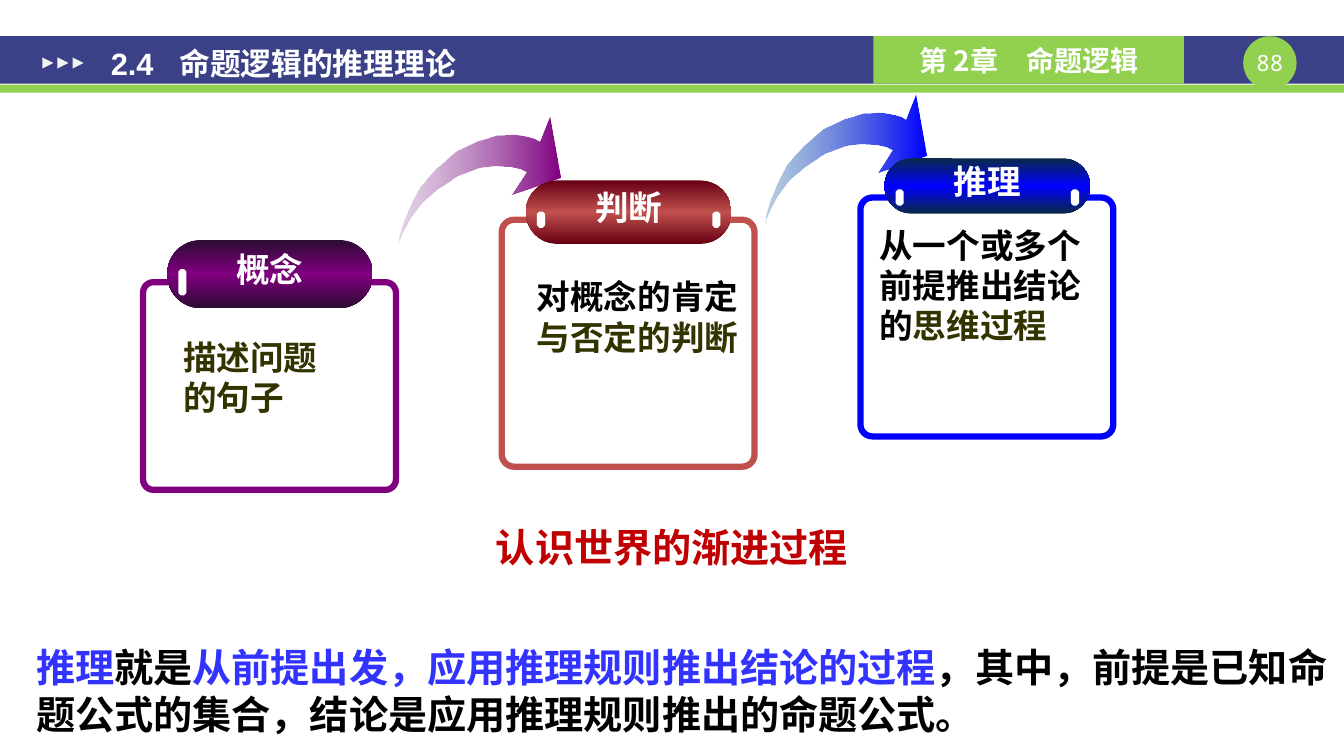
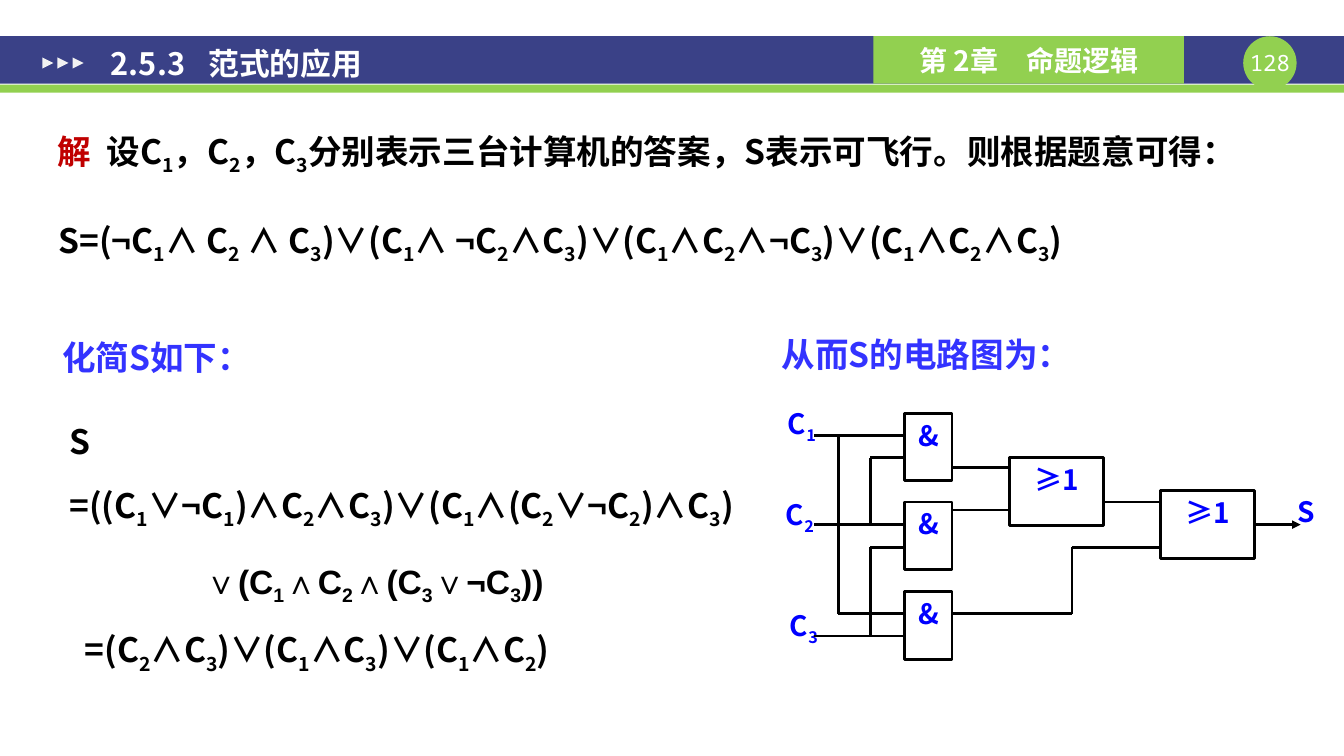
"""Build two lecture slides on propositional logic."""
import pptx
import pptx.dml.color
import pptx.enum.shapes
import pptx.enum.text
import pptx.oxml.ns
import pptx.util
from lxml import etree

Inches, Pt = pptx.util.Inches, pptx.util.Pt
SHAPE = pptx.enum.shapes.MSO_SHAPE
ALIGN = pptx.enum.text.PP_ALIGN
ANCHOR = pptx.enum.text.MSO_ANCHOR
qn = pptx.oxml.ns.qn

CJK, ARIAL, MONO = "Noto Sans CJK SC", "Arial", "Noto Sans Mono"
NAVY, GREEN, WHITE, PALE = "3A4187", "92D050", "FFFFFF", "F2F2F2"
BLACK, OLIVE, RED = "000000", "333300", "C00000"
VIOLET_BLUE, PURE_BLUE = "3333FF", "0000FF"
CHAPTER = "第 2章　命题逻辑"

CARDS = [
    dict(label="概念", colour="800080", dark="2C0B32", left=1.42,
         frame=(2.8, 2.06), cap=(2.38, 0.68), studs=(2.67, 0.26, 1),
         body=(1.72, 3.29, 1.79, 0.91), runs=[("描述问题的句子", OLIVE)]),
    dict(label="判断", colour="C0504D", dark="670013", left=4.98,
         frame=(2.18, 2.45), cap=(1.79, 0.63), studs=(2.1, 0.16, 2),
         body=(5.23, 2.69, 2.33, 0.91),
         runs=[("对概念的肯定", BLACK), ("与否定的判断", OLIVE)]),
    dict(label="推理", colour="0000FF", dark="092A47", left=8.54,
         frame=(1.96, 2.37), cap=(1.57, 0.55), studs=(1.88, 0.16, 2),
         body=(8.63, 2.18, 2.33, 1.31),
         runs=[("从一个或多个前提推出结论的", BLACK), ("思维过程", OLIVE)]),
]
ARROWS = [(3.96, 1.16, "AD7CB6", "800080"), (7.6, 0.94, "2869A3", "0000FF")]
ARROW_OUTLINE = [
    (0, 1.27), (0.01, 1.23), (0.05, 1.14), (0.12, 1.01), (0.23, 0.86),
    (0.39, 0.72), (0.59, 0.59), (0.8, 0.51), (0.97, 0.49), (1.11, 0.5),
    (1.2, 0.52), (1.26, 0.55), (1.11, 0.78), (1.6, 0.61), (1.49, 0),
    (1.39, 0.25), (1.34, 0.22), (1.25, 0.2), (1.13, 0.18), (0.97, 0.19),
    (0.79, 0.24), (0.58, 0.34), (0.38, 0.51), (0.22, 0.69), (0.12, 0.88),
    (0.05, 1.05), (0.01, 1.18),
]
SUMMARY = [
    ("推理", VIOLET_BLUE), ("就是", BLACK),
    ("从前提出发，应用推理规则推出结论的过程", VIOLET_BLUE),
    ("，其中，前提是已知命题公式的集合，结论是应用推理规则推出的命题公式。", BLACK),
]

SOLUTION = [("解\t", RED),
            ("设C_1，C_2，C_3分别表示三台计算机的答案，S表示可飞行。则根据题意可得：", BLACK)]
FORMULA = "S=(¬C_1∧ C_2 ∧ C_3)∨(C_1∧ ¬C_2∧C_3)∨(C_1∧C_2∧¬C_3)∨(C_1∧C_2∧C_3)"
DERIVATION = [
    ("S =((C_1∨¬C_1)∧C_2∧C_3)∨(C_1∧(C_2∨¬C_2)∧C_3)", CJK, 0, 0),
    ("∨(C_1∧C_2∧(C_3∨¬C_3))", ARIAL, 1.34, 5),
    ("=(C_2∧C_3)∨(C_1∧C_3)∨(C_1∧C_2)", CJK, 0.15, 0),
]
SIGNALS = [("C_1", 7.61, 3.98, 0.7), ("C_2", 7.59, 4.89, 0.7),
           ("C_3", 7.63, 5.99, 0.7), ("S", 12.73, 4.86, 0.47)]
GATES = [("&", 8.98, 4.1, 0.47), ("&", 8.98, 4.98, 0.47), ("&", 8.98, 5.87, 0.47),
         ("≥1", 10.02, 4.54, 0.93), ("≥1", 11.52, 4.87, 0.93)]
WIRES = [
    (8.08, 4.32, 8.98, 4.32), (8.64, 4.54, 8.98, 4.54),
    (8.08, 5.2, 8.98, 5.2), (8.64, 5.43, 8.98, 5.43),
    (8.32, 6.09, 8.98, 6.09), (8.08, 6.31, 8.98, 6.31),
    (8.32, 4.32, 8.32, 6.09), (8.64, 4.54, 8.64, 5.2), (8.64, 5.43, 8.64, 6.31),
    (9.45, 4.64, 10.02, 4.64), (9.45, 5.06, 10.02, 5.06),
    (9.45, 6.09, 10.64, 6.09), (10.64, 5.43, 10.64, 6.09),
    (10.64, 5.43, 11.52, 5.43), (10.95, 4.98, 11.52, 4.98),
]


def rgb(colour):
    """Turn a hex string into a colour."""
    return pptx.dml.color.RGBColor.from_string(colour)


def add_span(para, text, colour, size, font, bold, subscript=False):
    """Add one formatted run."""
    span = para.add_run()
    span.text = text
    span.font.size, span.font.bold, span.font.name = Pt(size), bold, font
    span.font.color.rgb = rgb(colour)
    properties = span.font._element
    etree.SubElement(properties, qn("a:ea")).set("typeface", font)
    if subscript:
        properties.set("baseline", "-25000")


def write(para, runs, size, font=CJK, bold=True, align=ALIGN.LEFT,
          spacing=None, tab=None):
    """Fill a paragraph; an underscore lowers the character after it."""
    para.alignment = align
    if tab:
        tabs = etree.SubElement(para._p.get_or_add_pPr(), qn("a:tabLst"))
        etree.SubElement(tabs, qn("a:tab"), pos=str(Inches(tab)), algn="l")
    if spacing:
        para.line_spacing = spacing
    for text, colour in runs:
        first, *rest = text.split("_")
        add_span(para, first, colour, size, font, bold)
        for piece in rest:
            add_span(para, piece[0], colour, size, font, bold, True)
            if piece[1:]:
                add_span(para, piece[1:], colour, size, font, bold)


def set_frame(frame, insets=(0.1, 0.05, 0.1, 0.05), anchor=ANCHOR.TOP, wrap=True):
    """Set the insets, anchor and wrapping of a text frame."""
    frame.word_wrap, frame.vertical_anchor = wrap, anchor
    frame.auto_size = pptx.enum.text.MSO_AUTO_SIZE.NONE
    (frame.margin_left, frame.margin_top,
     frame.margin_right, frame.margin_bottom) = map(Inches, insets)


def add_text(slide, at, runs, size=24, insets=(0.1, 0.05, 0.1, 0.05), **style):
    """Add a text box with one paragraph and return its frame."""
    frame = slide.shapes.add_textbox(*map(Inches, at)).text_frame
    set_frame(frame, insets)
    write(frame.paragraphs[0], runs, size, **style)
    return frame


def add_shape(slide, kind, at, fill=None, line=None, width=2):
    """Add a flat preset shape."""
    shape = slide.shapes.add_shape(kind, *map(Inches, at))
    shape.shadow.inherit = False
    if fill:
        shape.fill.solid()
        shape.fill.fore_color.rgb = rgb(fill)
    else:
        shape.fill.background()
    if line:
        shape.line.color.rgb, shape.line.width = rgb(line), Pt(width)
    else:
        shape.line.fill.background()
    return shape


def set_gradient(shape, stops, angle):
    """Fill a shape with (position, colour, opacity) stops."""
    shape.fill.gradient()
    shape.fill.gradient_angle = angle
    stop_list = shape._element.spPr.find(qn("a:gradFill")).find(qn("a:gsLst"))
    for old in list(stop_list):
        stop_list.remove(old)
    for position, colour, opacity in stops:
        stop = etree.SubElement(stop_list, qn("a:gs"), pos=str(position * 1000))
        value = etree.SubElement(stop, qn("a:srgbClr"), val=colour)
        if opacity < 100:
            etree.SubElement(value, qn("a:alpha"), val=str(opacity * 1000))


def add_wire(slide, ends):
    """Add a black straight connector."""
    wire = slide.shapes.add_connector(
        pptx.enum.shapes.MSO_CONNECTOR.STRAIGHT, *map(Inches, ends))
    wire.line.color.rgb, wire.line.width = rgb(BLACK), Pt(2)
    etree.SubElement(wire._element.spPr, qn("a:effectLst"))
    return wire


def add_slide(deck, title, title_font, tab, number):
    """Add a slide with the shared header and its title."""
    slide = deck.slides.add_slide(deck.slide_layouts[5])
    add_shape(slide, SHAPE.RECTANGLE, (0, 0.36, 13.34, 0.47), NAVY)
    add_shape(slide, SHAPE.RECTANGLE, (0, 0.84, 13.34, 0.08), GREEN)
    badge = add_shape(slide, SHAPE.OVAL, (12.34, 0.36, 0.53, 0.53), GREEN).text_frame
    set_frame(badge, (0, 0, 0, 0), ANCHOR.MIDDLE, False)
    write(badge.paragraphs[0], [(number, WHITE)], 16, MONO, False, ALIGN.CENTER)
    chapter = add_shape(slide, SHAPE.RECTANGLE, (8.67, 0.36, 3.08, 0.47), GREEN).text_frame
    set_frame(chapter, anchor=ANCHOR.MIDDLE)
    write(chapter.paragraphs[0], [(CHAPTER, WHITE)], 20, align=ALIGN.CENTER)
    for index in range(3):
        marker = add_shape(slide, SHAPE.ISOSCELES_TRIANGLE,
                           (0.42 + 0.15 * index, 0.57, 0.11, 0.11), PALE)
        marker.rotation = 90
    heading = slide.shapes.title
    heading.left, heading.top, heading.width, heading.height = map(
        Inches, (0.97, 0.24, 7.6, 0.77))
    set_frame(heading.text_frame, (0.13, 0.07, 0.13, 0.07), ANCHOR.MIDDLE)
    write(heading.text_frame.paragraphs[0], [(title, WHITE)], 22, title_font, tab=tab)
    slide.shapes._spTree.append(heading._element)
    return slide


def add_arrow(slide, left, top, pale, strong):
    """Add a curved arrow that fades in from its tail."""
    points = [(Inches(left + x), Inches(top + y)) for x, y in ARROW_OUTLINE]
    builder = slide.shapes.build_freeform(*points[0])
    builder.add_line_segments(points[1:])
    arrow = builder.convert_to_shape()
    arrow.shadow.inherit = False
    arrow.line.fill.background()
    set_gradient(arrow, [(0, pale, 32), (100, strong, 100)], 0)


def add_card(slide, card):
    """Add a framed card with its cap, studs and text."""
    (top, height), (cap_top, cap_height) = card["frame"], card["cap"]
    frame = add_shape(slide, SHAPE.ROUNDED_RECTANGLE, (card["left"], top, 2.51, height),
                      line=card["colour"], width=4.5)
    frame.adjustments[0] = 0.05
    cap_left, cap_width = card["left"] + 0.24, 2.04
    cap = add_shape(slide, SHAPE.ROUNDED_RECTANGLE,
                    (cap_left, cap_top, cap_width, cap_height))
    cap.adjustments[0] = 0.5
    set_gradient(cap, [(0, card["dark"], 100), (50, card["colour"], 100),
                       (100, card["dark"], 100)], 90)
    set_frame(cap.text_frame, (0, 0, 0, 0.1), ANCHOR.MIDDLE)
    write(cap.text_frame.paragraphs[0], [(card["label"], WHITE)], 24, align=ALIGN.CENTER)
    stud_top, stud_height, count = card["studs"]
    for offset in (0.11, cap_width - 0.19)[:count]:
        add_shape(slide, SHAPE.OCTAGON,
                  (cap_left + offset, stud_top, 0.08, stud_height), WHITE)
    add_text(slide, card["body"], card["runs"])


def add_circuit(slide):
    """Add the logic circuit."""
    for text, left, top, width in SIGNALS:
        add_text(slide, (left, top, width, 0.67), [(text, PURE_BLUE)], 20,
                 align=ALIGN.CENTER)
    for ends in WIRES:
        add_wire(slide, ends)
    for text, left, top, width in GATES:
        gate = add_shape(slide, SHAPE.RECTANGLE, (left, top, width, 0.67), WHITE, BLACK)
        set_frame(gate.text_frame)
        write(gate.text_frame.paragraphs[0], [(text, PURE_BLUE)], 20, align=ALIGN.CENTER)
    middle = top + 0.67 / 2
    output = add_wire(slide, (left + width, middle, 12.91, middle))
    output.begin_connect(gate, 3)
    etree.SubElement(output.line._get_or_add_ln(), qn("a:tailEnd"), type="triangle")


def main():
    """Build and save the deck."""
    deck = pptx.Presentation()
    deck.slide_width, deck.slide_height = Inches(13.34), Inches(7.5)

    slide = add_slide(deck, "2.4\t命题逻辑的推理理论", ARIAL, 0.68, "88")
    for arrow in ARROWS:
        add_arrow(slide, *arrow)
    for card in CARDS:
        add_card(slide, card)
    add_text(slide, (2.42, 5.14, 8.5, 0.57), [("认识世界的渐进过程", RED)], 28,
             align=ALIGN.CENTER)
    add_text(slide, (0.26, 6.33, 13.08, 1.04), SUMMARY, 28)

    slide = add_slide(deck, "2.5.3\t范式的应用", CJK, 0.97, "128")
    wide = (0.13, 0.07, 0.13, 0.07)
    add_text(slide, (0.44, 1, 12.76, 0.9), SOLUTION, insets=wide, spacing=1.5, tab=0.49)
    add_text(slide, (0.48, 2.04, 12.38, 0.54), [(FORMULA, BLACK)], spacing=1.2)
    add_text(slide, (0.52, 3.29, 6.67, 0.5), [("化简S如下：", VIOLET_BLUE)])
    add_text(slide, (7.66, 3.26, 3.42, 0.5), [("从而S的电路图为：", VIOLET_BLUE)])
    frame = slide.shapes.add_textbox(*map(Inches, (0.56, 3.91, 6.86, 3.28))).text_frame
    set_frame(frame, wide)
    for index, (text, font, indent, before) in enumerate(DERIVATION):
        para = frame.add_paragraph() if index else frame.paragraphs[0]
        write(para, [(text, BLACK)], 24, font, spacing=1.5)
        para._p.get_or_add_pPr().set("marL", str(Inches(indent)))
        if before:
            para.space_before = Pt(before)
    add_circuit(slide)
    deck.save("out.pptx")


if __name__ == "__main__":
    main()
